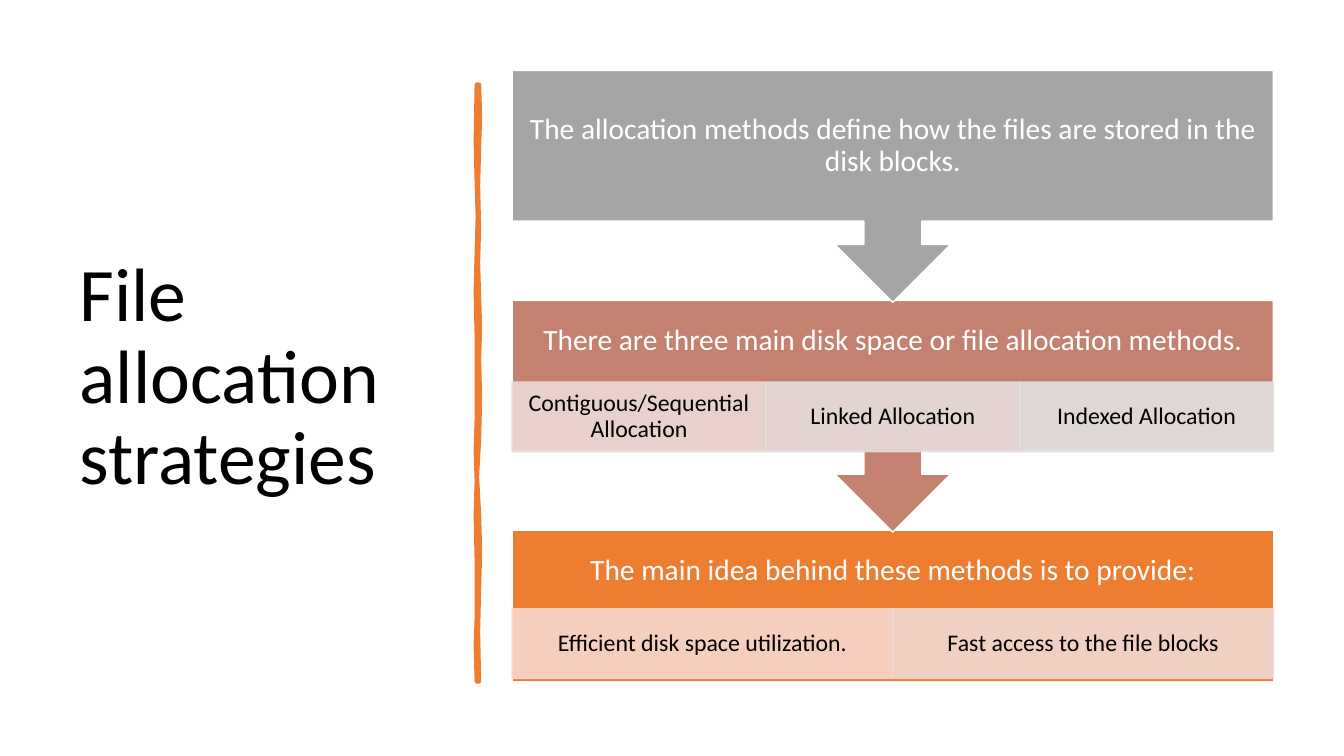
from lxml.etree import SubElement
from pptx import Presentation
from pptx.dml.color import RGBColor
from pptx.enum.shapes import MSO_SHAPE as Shape
from pptx.enum.text import MSO_ANCHOR as Anchor, PP_ALIGN as Align
from pptx.oxml.ns import qn
from pptx.util import Inches, Pt

LEFT, WIDTH = 5.08, 7.55
HEAD = {"size": Pt(21), "color": "FFFFFF"}
CELL = {"size": Pt(17), "color": "000000"}
TITLE = {"size": Pt(54), "color": "000000"}

# Outline of the hand-drawn rule: down the right edge, up the left
RULE = [
    (4.75, 0.84), (4.76, 1.15), (4.75, 1.46), (4.74, 1.85), (4.75, 2.26),
    (4.74, 2.6), (4.75, 2.94), (4.76, 3.25), (4.75, 3.56), (4.76, 3.95),
    (4.75, 4.36), (4.73, 4.73), (4.75, 5.1), (4.76, 5.47), (4.75, 5.84),
    (4.74, 6.27), (4.75, 6.76), (4.73, 6.76), (4.72, 6.4), (4.73, 6.13),
    (4.73, 5.57), (4.72, 5.1), (4.73, 4.77), (4.72, 4.46), (4.73, 4.15),
    (4.73, 3.35), (4.72, 2.9), (4.73, 2.5), (4.74, 2.15), (4.73, 1.81),
    (4.72, 1.4), (4.73, 0.84),
]


def paint(target, color):
    target.rgb = RGBColor.from_string(color)


def style(shape, fill, line, width):
    shape.shadow.inherit = False
    shape.fill.solid()
    paint(shape.fill.fore_color, fill)
    paint(shape.line.color, line)
    shape.line.width = Pt(width)


def fade(shape, percent):
    for color in shape._element.spPr.iter(qn("a:srgbClr")):
        SubElement(color, qn("a:alpha")).set("val", str(percent * 1000))


def write(shape, text, form, align, pad_x, pad_y):
    frame = shape.text_frame
    values = {
        "word_wrap": True, "vertical_anchor": Anchor.MIDDLE,
        "margin_left": Inches(pad_x), "margin_right": Inches(pad_x),
        "margin_top": Inches(pad_y), "margin_bottom": Inches(pad_y),
    }
    for name, value in values.items():
        setattr(frame, name, value)
    para = frame.paragraphs[0]
    para.alignment, para.line_spacing = align, 0.9
    run = para.add_run()
    run.text = text
    run.font.name, run.font.size = "Calibri", form["size"]
    paint(run.font.color, form["color"])


def add_label(slide, box, text, form, align, pad_x, pad_y):
    label = slide.shapes.add_textbox(*map(Inches, box))
    write(label, text, form, align, pad_x, pad_y)


def add_step(slide, kind, top, height, color, text, depth):
    step = slide.shapes.add_shape(
        kind, *map(Inches, (LEFT, top, WIDTH, height)))
    style(step, color, "FFFFFF", 1)
    add_label(slide, (LEFT, top, WIDTH, depth), text, HEAD,
              Align.CENTER, 0.16, 0.16)


def add_cells(slide, top, cells):
    width = WIDTH / len(cells)
    for i, (text, color) in enumerate(cells):
        box = (LEFT + i * width, top, width, 0.69)
        cell = slide.shapes.add_shape(Shape.RECTANGLE, *map(Inches, box))
        style(cell, color, color, 1)
        fade(cell, 90)
        write(cell, text, CELL, Align.CENTER, 0.13, 0.02)


def add_rule(slide):
    points = [(Inches(x), Inches(y)) for x, y in RULE]
    pen = slide.shapes.build_freeform(*points[0])
    pen.add_line_segments(points[1:], close=True)
    rule = pen.convert_to_shape()
    style(rule, "ED7D31", "ED7D31", 3.25)
    SubElement(rule.line._get_or_add_ln(), qn("a:round"))


def main():
    deck = Presentation()
    deck.slide_width, deck.slide_height = Inches(13.33), Inches(7.5)
    slide = deck.slides.add_slide(deck.slide_layouts[6])

    # Title and divider
    add_label(slide, (0.69, 0.7, 3.74, 6.11), "File allocation strategies",
              TITLE, Align.LEFT, 0.1, 0.05)
    add_rule(slide)

    # Steps from last to first, so each arrow lies over the next box
    add_step(slide, Shape.RECTANGLE, 5.26, 1.5, "ED7D31",
             "The main idea behind these methods is to provide:", 0.81)
    add_cells(slide, 6.04, [
        ("Efficient disk space utilization.", "F8D7CE"),
        ("Fast access to the file blocks", "F2D8D2"),
    ])
    add_step(slide, Shape.DOWN_ARROW_CALLOUT, 2.98, 2.3, "C48170",
             "There are three main disk space or file allocation methods.",
             0.81)
    add_cells(slide, 3.79, [
        ("Contiguous/Sequential Allocation", "EDD9D7"),
        ("Linked Allocation", "E7DCDC"),
        ("Indexed Allocation", "E1E1E1"),
    ])
    add_step(slide, Shape.DOWN_ARROW_CALLOUT, 0.7, 2.3, "A5A5A5",
             "The allocation methods define how the files are stored in the "
             "disk blocks.", 1.49)

    deck.save("out.pptx")


if __name__ == "__main__":
    main()
